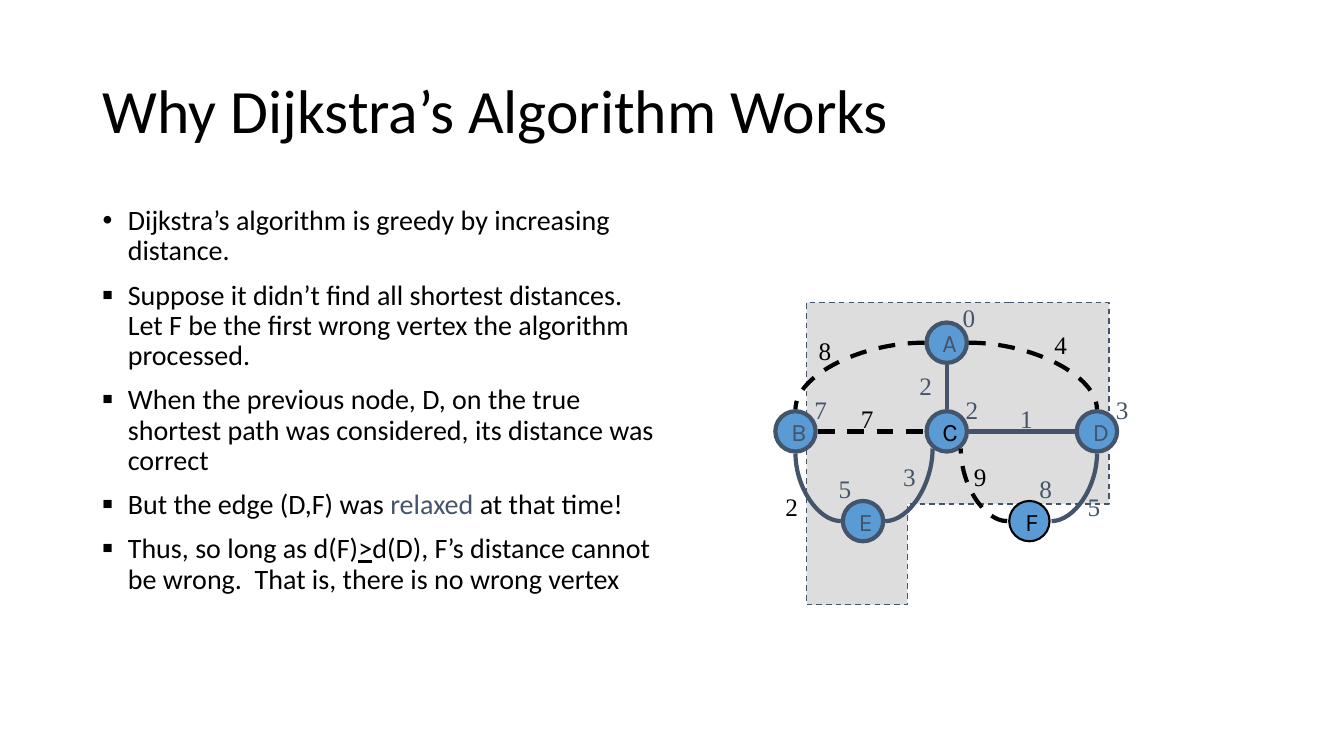
"""Build a slide explaining why Dijkstra's algorithm works, with its example graph."""
from lxml import etree
from pptx import Presentation
from pptx.dml.color import RGBColor
from pptx.enum.dml import MSO_LINE
from pptx.enum.shapes import MSO_CONNECTOR, MSO_SHAPE
from pptx.enum.text import MSO_ANCHOR
from pptx.oxml.ns import qn
from pptx.util import Inches, Pt

BLACK = RGBColor(0x00, 0x00, 0x00)
SLATE = RGBColor(0x44, 0x54, 0x6A)
BLUE = RGBColor(0x5B, 0x9B, 0xD5)
GREY = RGBColor(0xDD, 0xDD, 0xDD)
STRAIGHT, CURVE = MSO_CONNECTOR.STRAIGHT, MSO_CONNECTOR.CURVE
OVAL, DASH = MSO_SHAPE.OVAL, MSO_LINE.DASH
TOP, MIDDLE = MSO_ANCHOR.TOP, MSO_ANCHOR.MIDDLE

TITLE = "Why Dijkstra’s Algorithm Works"
BULLETS = [
    ("•", 100, [("Dijkstra’s algorithm is greedy by increasing distance.", BLACK, False)]),
    ("■", 60, [("Suppose it didn’t find all shortest distances. Let F be the first "
                "wrong vertex the algorithm processed.", BLACK, False)]),
    ("■", 60, [("When the previous node, D, on the true shortest path was considered, "
                "its distance was correct", BLACK, False)]),
    ("■", 60, [("But the edge (D,F) was ", BLACK, False), ("relaxed", SLATE, False),
               (" at that time!", BLACK, False)]),
    ("■", 60, [("Thus, so long as d(F)", BLACK, False), (">", BLACK, True),
               ("d(D), F’s distance cannot be wrong.  That is, there is no wrong vertex",
                BLACK, False)]),
]
NODE_SIZE = 0.4
NODES = {
    "A": (9.39, 3.4, SLATE, SLATE, 3),
    "B": (7.89, 4.28, SLATE, SLATE, 3),
    "C": (9.39, 4.28, BLACK, SLATE, 3),
    "D": (10.88, 4.28, SLATE, SLATE, 3),
    "E": (8.56, 5.17, SLATE, SLATE, 3),
    "F": (10.21, 5.17, BLACK, BLACK, 1.5),
}
PORTS = {
    "left": (-0.22, 0), "right": (0.22, 0), "top": (0, -0.22), "bottom": (0, 0.22),
    "lower left": (-0.14, 0.17), "lower right": (0.14, 0.17),
}
EDGES = [
    ("A", "left", "B", "top", CURVE, True),
    ("E", "left", "B", "bottom", CURVE, False),
    ("E", "right", "C", "lower left", CURVE, False),
    ("A", "bottom", "C", "top", STRAIGHT, False),
    ("B", "right", "C", "left", STRAIGHT, True),
    ("F", "right", "D", "bottom", CURVE, False),
    ("A", "right", "D", "top", CURVE, True),
    ("C", "right", "D", "left", STRAIGHT, False),
    ("F", "left", "C", "lower right", CURVE, True),
]
LABELS = [
    ("0", 9.45, 2.95, SLATE), ("3", 10.97, 3.86, SLATE), ("2", 9.48, 3.86, SLATE),
    ("7", 7.98, 3.86, SLATE), ("5", 8.22, 4.65, SLATE), ("8", 10.21, 4.65, SLATE),
    ("4", 10.36, 3.22, BLACK), ("8", 8.02, 3.28, BLACK), ("7", 8.44, 3.95, BLACK),
    ("1", 10.02, 3.95, SLATE), ("2", 7.69, 4.83, BLACK), ("5", 10.69, 4.83, SLATE),
    ("2", 9.02, 3.62, SLATE), ("3", 8.86, 4.53, SLATE), ("9", 9.56, 4.53, BLACK),
]
REGION_START = (9.73, 2.97)
REGION_CURVES = [
    ((10.06, 3), (10.72, 3.02), (10.99, 3.29)),
    ((11.26, 3.57), (11.58, 4.4), (11.36, 4.62)),
    ((11.13, 4.84), (10, 4.51), (9.63, 4.63)),
    ((9.25, 4.75), (9.35, 5.2), (9.12, 5.36)),
    ((8.89, 5.51), (8.49, 5.58), (8.25, 5.55)),
    ((8.02, 5.51), (7.81, 5.38), (7.7, 5.13)),
    ((7.59, 4.88), (7.52, 4.38), (7.6, 4.06)),
    ((7.67, 3.74), (7.89, 3.38), (8.13, 3.21)),
    ((8.36, 3.04), (8.76, 3.06), (9.02, 3.02)),
    ((9.29, 2.98), (9.58, 2.98), REGION_START),
]
CURVE_STEPS = 12


def add_run(paragraph, text, font, size, color, underline=False):
    run = paragraph.add_run()
    run.text = text
    run.font.name = font
    run.font.size = Pt(size)
    run.font.color.rgb = color
    if underline:
        run.font.underline = True


def add_text_box(slide, left, top, width, height, anchor=TOP, wrap=True):
    frame = slide.shapes.add_textbox(*map(Inches, (left, top, width, height))).text_frame
    frame.word_wrap = wrap
    frame.vertical_anchor = anchor
    return frame


def set_bullet(paragraph, character, percent):
    properties = paragraph._p.get_or_add_pPr()
    properties.set("marL", str(Inches(0.25)))
    properties.set("indent", str(-Inches(0.25)))
    color = etree.SubElement(properties, qn("a:buClr"))
    etree.SubElement(color, qn("a:srgbClr")).set("val", str(BLACK))
    etree.SubElement(properties, qn("a:buSzPct")).set("val", str(percent * 1000))
    etree.SubElement(properties, qn("a:buFont")).set("typeface", "Arial")
    etree.SubElement(properties, qn("a:buChar")).set("char", character)


def add_bullets(slide):
    frame = add_text_box(slide, 0.92, 2, 5.67, 4.76)
    for index, (character, percent, runs) in enumerate(BULLETS):
        paragraph = frame.add_paragraph() if index else frame.paragraphs[0]
        set_bullet(paragraph, character, percent)
        paragraph.line_spacing = 0.9
        if index:
            paragraph.space_before = Pt(10)
        for text, color, underline in runs:
            add_run(paragraph, text, "Calibri", 20, color, underline)


def style_line(line, color, width, dashed=False):
    line.color.rgb = color
    line.width = Pt(width)
    if dashed:
        line.dash_style = DASH


def style_shape(shape, fill, color, width, dashed=False):
    shape.shadow.inherit = False
    shape.fill.solid()
    shape.fill.fore_color.rgb = fill
    style_line(shape.line, color, width, dashed)


def curve_points(points):
    for step in range(1, CURVE_STEPS + 1):
        t = step / CURVE_STEPS
        weights = ((1 - t) ** 3, 3 * t * (1 - t) ** 2, 3 * t ** 2 * (1 - t), t ** 3)
        yield tuple(sum(w * point[axis] for w, point in zip(weights, points))
                    for axis in (0, 1))


def add_region(slide):
    builder = slide.shapes.build_freeform(*REGION_START, scale=Inches(1))
    start, outline = REGION_START, []
    for curve in REGION_CURVES:
        outline.extend(curve_points((start, *curve)))
        start = curve[-1]
    builder.add_line_segments(outline, close=True)
    style_shape(builder.convert_to_shape(), GREY, SLATE, 1, True)


def add_node(slide, name):
    x, y, text_color, line_color, line_width = NODES[name]
    corner = (x - NODE_SIZE / 2, y - NODE_SIZE / 2)
    shape = slide.shapes.add_shape(OVAL, *map(Inches, (*corner, NODE_SIZE, NODE_SIZE)))
    style_shape(shape, BLUE, line_color, line_width)
    frame = shape.text_frame
    frame.word_wrap = False
    frame.vertical_anchor = MIDDLE
    paragraph = frame.paragraphs[0]
    paragraph._p.get_or_add_pPr().set("algn", "l")
    add_run(paragraph, name, "Karla", 18, text_color)


def port_position(name, port):
    return [Inches(NODES[name][axis] + PORTS[port][axis]) for axis in (0, 1)]


def add_edge(slide, source, source_port, target, target_port, kind, dashed):
    connector = slide.shapes.add_connector(
        kind, *port_position(source, source_port), *port_position(target, target_port))
    properties = connector._element.spPr
    if kind == CURVE:
        properties.find(qn("a:prstGeom")).set("prst", "curvedConnector2")
    style_line(connector.line, BLACK if dashed else SLATE, 3, dashed)
    etree.SubElement(properties, qn("a:effectLst"))


def main():
    presentation = Presentation()
    presentation.slide_width, presentation.slide_height = Inches(13.33), Inches(7.5)
    slide = presentation.slides.add_slide(presentation.slide_layouts[6])
    title = add_text_box(slide, 0.92, 0.4, 11.5, 1.45, MIDDLE).paragraphs[0]
    title.line_spacing = 0.9
    add_run(title, TITLE, "Calibri", 44, BLACK)
    add_bullets(slide)
    add_region(slide)
    for name in NODES:
        add_node(slide, name)
    for edge in EDGES:
        add_edge(slide, *edge)
    for text, left, top, color in LABELS:
        frame = add_text_box(slide, left, top, 0.33, 0.4, wrap=False)
        add_run(frame.paragraphs[0], text, "Times New Roman", 18, color)
    presentation.save("out.pptx")


if __name__ == "__main__":
    main()
